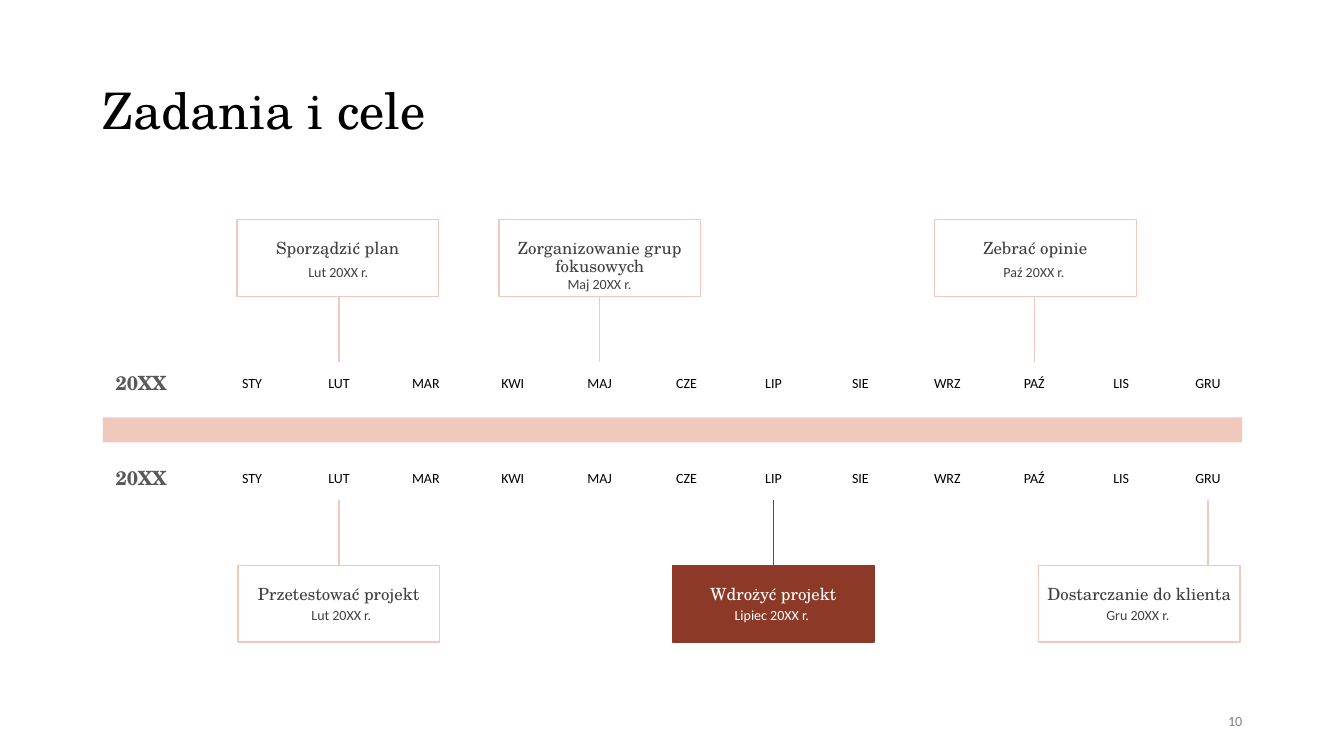
from dataclasses import dataclass

import pptx
import pptx.dml.color
import pptx.enum.shapes
import pptx.enum.text
import pptx.oxml
import pptx.oxml.ns
import pptx.util
from pptx.util import Inches

ALIGN = pptx.enum.text.PP_ALIGN
ANCHOR = pptx.enum.text.MSO_ANCHOR


@dataclass(frozen=True)
class Theme:
    serif: str = "TeX Gyre Schola"
    sans: str = "Calibri"
    black: str = "000000"
    text: str = "404040"
    year: str = "595959"
    muted: str = "808080"
    white: str = "FFFFFF"
    blush: str = "F0C8BC"
    rust: str = "8C3A27"
    title_size: int = 36
    year_size: int = 14
    card_size: int = 12
    small_size: int = 10


THEME = Theme()
MONTHS = ["STY", "LUT", "MAR", "KWI", "MAJ", "CZE",
          "LIP", "SIE", "WRZ", "PAŹ", "LIS", "GRU"]
FIRST_MONTH_CENTER = 2.5
MONTH_STEP = 0.862
CARD_WIDTH, CARD_HEIGHT = 2, 0.76
UPPER_TOP, LOWER_TOP = 2.18, 5.61
STEM_LENGTH = 0.65

UPPER_CARDS = [
    ("LUT", 2.35, "Sporządzić plan", "Lut 20XX r.", 2.43, 2.63),
    ("MAJ", 4.95, "Zorganizowanie grup fokusowych", "Maj 20XX r.", 5.02, 2.75),
    ("PAŹ", 9.27, "Zebrać opinie", "Paź 20XX r.", 9.33, 2.63),
]
LOWER_CARDS = [
    ("LUT", 2.36, "Przetestować projekt", "Lut 20XX r.", 2.46, 6.04),
    ("LIP", 6.67, "Wdrożyć projekt", "Lipiec 20XX r.", 6.73, 6.04),
    ("GRU", 10.3, "Dostarczanie do klienta", "Gru 20XX r.", 10.36, 6.04),
]
HIGHLIGHT = "Wdrożyć projekt"


def rgb(color):
    return pptx.dml.color.RGBColor.from_string(color)


def month_center(index):
    return FIRST_MONTH_CENTER + MONTH_STEP * index


def write_text(box, text, *, font=THEME.sans, size=THEME.small_size,
               color=THEME.black, bold=False, align=ALIGN.CENTER,
               anchor=ANCHOR.TOP, spacing=0.9, insets=(0.1, 0.05, 0.1, 0.05)):
    frame = box.text_frame
    frame.word_wrap = True
    frame.auto_size = pptx.enum.text.MSO_AUTO_SIZE.NONE
    frame.vertical_anchor = anchor
    (frame.margin_left, frame.margin_top,
     frame.margin_right, frame.margin_bottom) = map(Inches, insets)
    para = frame.paragraphs[0]
    para.alignment = align
    para.line_spacing = spacing
    span = para.add_run()
    span.text = text
    span.font.name = font
    span.font.size = pptx.util.Pt(size)
    span.font.bold = bold
    span.font.color.rgb = rgb(color)


def add_label(page, place, text, **text_format):
    box = page.shapes.add_textbox(*map(Inches, place))
    write_text(box, text, **text_format)


def add_rectangle(page, place, *, fill=None, line=None):
    box = page.shapes.add_shape(
        pptx.enum.shapes.MSO_SHAPE.RECTANGLE, *map(Inches, place))
    box.shadow.inherit = False
    if fill:
        box.fill.solid()
        box.fill.fore_color.rgb = rgb(fill)
    else:
        box.fill.background()
    if line:
        box.line.color.rgb = rgb(line)
        box.line.width = pptx.util.Pt(1)
    else:
        box.line.fill.background()
    return box


def add_stem(page, center, start, end, color):
    stem = page.shapes.add_connector(
        pptx.enum.shapes.MSO_CONNECTOR.STRAIGHT,
        Inches(center), Inches(start), Inches(center), Inches(end))
    stem.line.color.rgb = rgb(color)
    stem.line.width = pptx.util.Pt(1)
    properties = stem._element.spPr
    properties.append(pptx.oxml.parse_xml(
        f"<a:effectLst {pptx.oxml.ns.nsdecls('a')}/>"))


def add_title(page, text):
    title = page.shapes.title
    title.left, title.top, title.width, title.height = map(
        Inches, (0.92, 0.77, 11.5, 0.7))
    write_text(title, text, font=THEME.serif, size=THEME.title_size,
               align=ALIGN.LEFT, anchor=ANCHOR.MIDDLE)


def add_month_row(page, year_top, month_top):
    add_label(page, (1, year_top, 0.8, 0.5), "20XX", font=THEME.serif,
              size=THEME.year_size, color=THEME.year, bold=True,
              anchor=ANCHOR.MIDDLE)
    for index, month in enumerate(MONTHS):
        add_label(page, (month_center(index) - 0.35, month_top, 0.7, 0.22), month)


def add_milestone(page, card, top, stem_start, stem_end):
    month, left, task, date, date_left, date_top = card
    highlighted = task == HIGHLIGHT
    line = THEME.rust if highlighted else THEME.blush
    color = THEME.white if highlighted else THEME.text
    box = add_rectangle(page, (left, top, CARD_WIDTH, CARD_HEIGHT),
                        fill=THEME.rust if highlighted else None, line=line)
    write_text(box, task, font=THEME.serif, size=THEME.card_size,
               color=color, insets=(0, 0.2, 0, 0))
    add_label(page, (date_left, date_top, 1.85, 0.25), date,
              color=color, insets=(0, 0, 0, 0))
    add_stem(page, month_center(MONTHS.index(month)), stem_start, stem_end, line)


def main():
    deck = pptx.Presentation()
    deck.slide_width, deck.slide_height = Inches(13.33), Inches(7.5)
    page = deck.slides.add_slide(deck.slide_layouts.get_by_name("Title Only"))

    add_title(page, "Zadania i cele")
    add_month_row(page, 3.56, 3.68)
    add_month_row(page, 4.5, 4.63)
    upper_bottom = UPPER_TOP + CARD_HEIGHT
    for card in UPPER_CARDS:
        add_milestone(page, card, UPPER_TOP, upper_bottom, upper_bottom + STEM_LENGTH)
    for card in LOWER_CARDS:
        add_milestone(page, card, LOWER_TOP, LOWER_TOP, LOWER_TOP - STEM_LENGTH)
    add_rectangle(page, (1.02, 4.14, 11.3, 0.25), fill=THEME.blush)
    add_label(page, (9.42, 6.95, 3, 0.4), "10", color=THEME.muted,
              align=ALIGN.RIGHT, anchor=ANCHOR.MIDDLE, spacing=1.0)

    deck.save("out.pptx")


if __name__ == "__main__":
    main()
